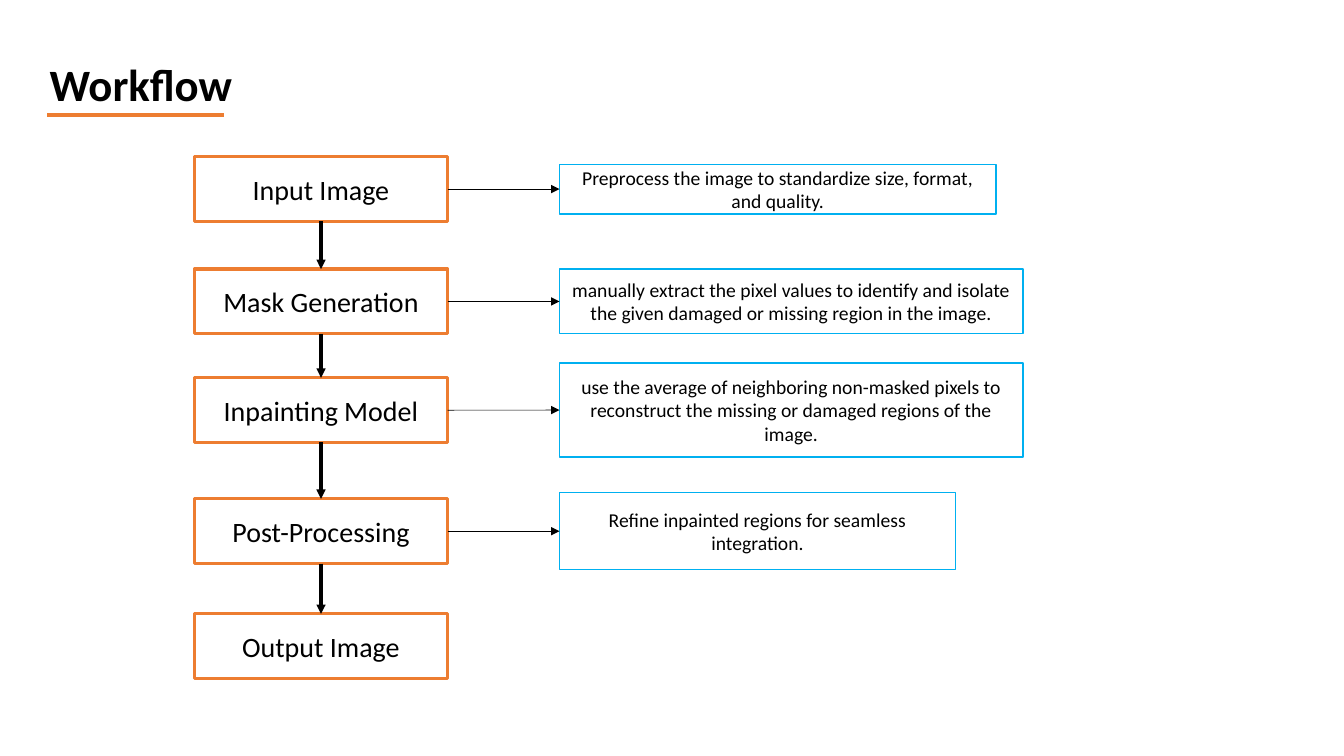
"""Build the Workflow slide: a column of steps, each with an explanatory note."""
from lxml import etree
from pptx import Presentation
from pptx.dml.color import RGBColor
from pptx.enum.shapes import MSO_CONNECTOR, MSO_SHAPE
from pptx.enum.text import MSO_ANCHOR, PP_ALIGN
from pptx.oxml.ns import qn
from pptx.util import Cm, Pt

TITLE = "Workflow"
STEPS = [
    {"label": "Input Image", "top": 3.95, "width": 11, "height": 1.25,
     "note": "Preprocess the image to standardize size, format, and quality."},
    {"label": "Mask Generation", "top": 6.78, "width": 11.68, "height": 1.63,
     "note": "manually extract the pixel values to identify and isolate "
             "the given damaged or missing region in the image."},
    {"label": "Inpainting Model", "top": 9.52, "width": 11.68, "height": 2.37,
     "note": "use the average of neighboring non-masked pixels to "
             "reconstruct the missing or damaged regions of the image."},
    {"label": "Post-Processing", "top": 12.57, "width": 9.98, "height": 1.94,
     "note": "Refine inpainted regions for seamless integration."},
    {"label": "Output Image", "top": 15.47},
]

BLACK = RGBColor(0x00, 0x00, 0x00)
WHITE = RGBColor(0xFF, 0xFF, 0xFF)
ORANGE = RGBColor(0xED, 0x7D, 0x31)
BLUE = RGBColor(0x00, 0xB0, 0xF0)
RECTANGLE = MSO_SHAPE.RECTANGLE
STRAIGHT = MSO_CONNECTOR.STRAIGHT
CENTER = PP_ALIGN.CENTER
MIDDLE = MSO_ANCHOR.MIDDLE
TOP_SITE, LEFT_SITE, BOTTOM_SITE, RIGHT_SITE = range(4)

STEP_LEFT, STEP_WIDTH, STEP_HEIGHT = 4.9, 6.38, 1.63
NOTE_LEFT = 14.1
TITLE_FONT = {"name": "Calibri", "size": Pt(32), "bold": True}
STEP_FONT = {"name": "Calibri", "size": Pt(20)}
NOTE_FONT = {"name": "Calibri", "size": Pt(14)}


def write_text(paragraph, text, font_format):
    run = paragraph.add_run()
    run.text = text
    run.font.color.rgb = BLACK
    for attribute, value in font_format.items():
        setattr(run.font, attribute, value)


def add_box(slide, position, text, font_format, color, line_width):
    shape = slide.shapes.add_shape(RECTANGLE, *map(Cm, position))
    shape.shadow.inherit = False
    shape.fill.solid()
    shape.fill.fore_color.rgb = WHITE
    shape.line.color.rgb = color
    shape.line.width = Pt(line_width)
    frame = shape.text_frame
    frame.word_wrap = True
    frame.vertical_anchor = MIDDLE
    paragraph = frame.paragraphs[0]
    paragraph.alignment = CENTER
    write_text(paragraph, text, font_format)
    return shape


def add_line(slide, ends, color, line_width):
    connector = slide.shapes.add_connector(STRAIGHT, *map(Cm, ends))
    connector.line.color.rgb = color
    connector.line.width = Pt(line_width)
    etree.SubElement(connector._element.spPr, qn("a:effectLst"))
    return connector


def add_arrow(slide, start, start_site, end, end_site, line_width):
    connector = add_line(slide, (0, 0, 0, 0), BLACK, line_width)
    connector.begin_connect(start, start_site)
    connector.end_connect(end, end_site)
    etree.SubElement(connector.line._get_or_add_ln(), qn("a:tailEnd"), type="triangle")


def add_title(slide):
    box = slide.shapes.add_textbox(Cm(0.74), Cm(1.3), Cm(17.5), Cm(1.62))
    box.text_frame.word_wrap = True
    box.text_frame.margin_left = Cm(0.51)
    write_text(box.text_frame.paragraphs[0], TITLE, TITLE_FONT)
    add_line(slide, (1.19, 2.9, 5.64, 2.9), ORANGE, 3)


def add_workflow(slide):
    previous = None
    for step in STEPS:
        position = (STEP_LEFT, step["top"], STEP_WIDTH, STEP_HEIGHT)
        box = add_box(slide, position, step["label"], STEP_FONT, ORANGE, 2.25)
        if previous is not None:
            add_arrow(slide, previous, BOTTOM_SITE, box, TOP_SITE, 2.25)
        if "note" in step:
            note_top = step["top"] + (STEP_HEIGHT - step["height"]) / 2
            position = (NOTE_LEFT, note_top, step["width"], step["height"])
            note = add_box(slide, position, step["note"], NOTE_FONT, BLUE, 1)
            add_arrow(slide, box, RIGHT_SITE, note, LEFT_SITE, 0.5)
        previous = box


def main():
    presentation = Presentation()
    presentation.slide_width = Cm(33.87)
    presentation.slide_height = Cm(19.05)
    slide = presentation.slides.add_slide(presentation.slide_layouts[6])
    add_title(slide)
    add_workflow(slide)
    presentation.save("out.pptx")


if __name__ == "__main__":
    main()
